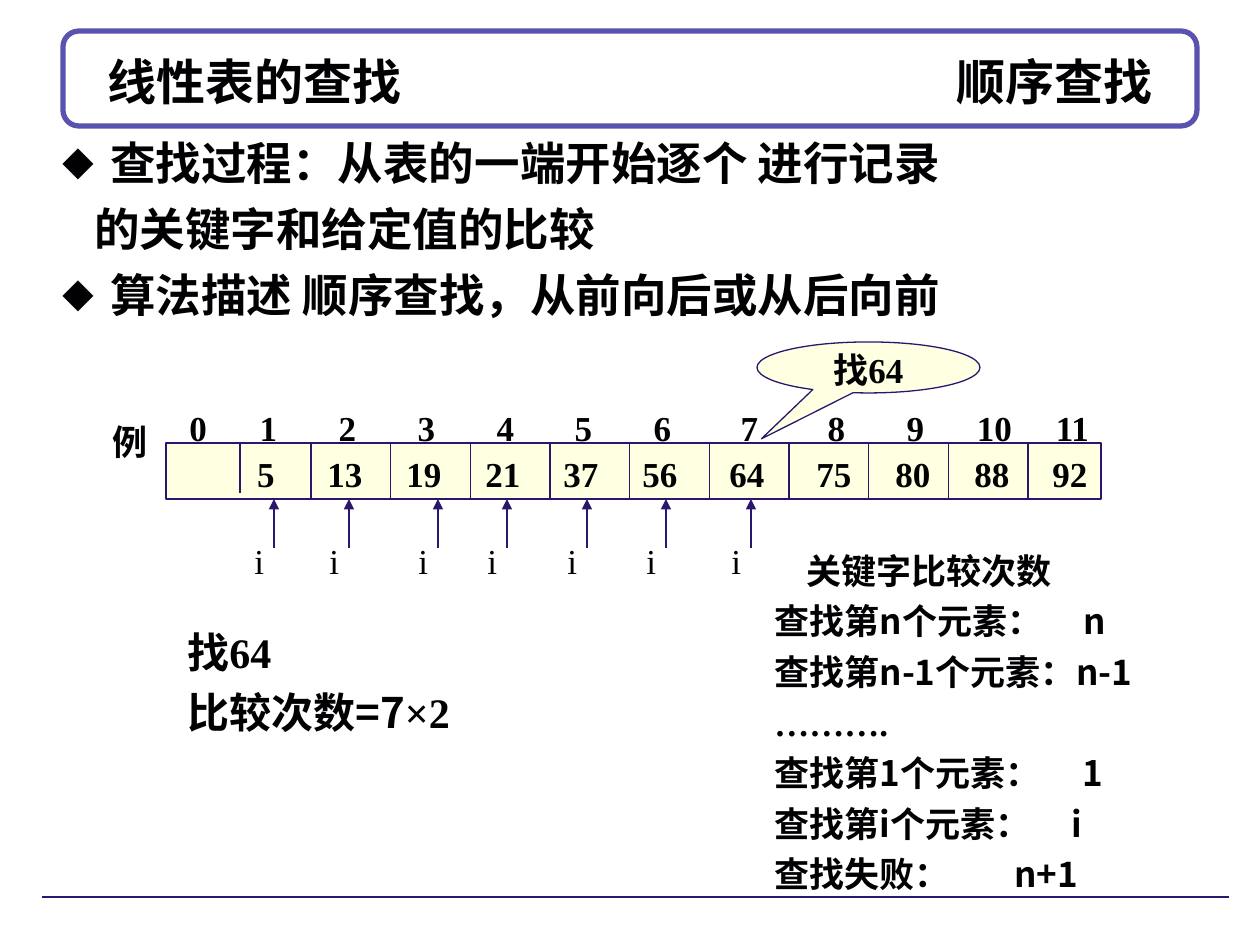
from dataclasses import dataclass

import pptx
import pptx.dml.color
import pptx.enum.shapes
import pptx.enum.text
import pptx.oxml.ns
import pptx.util
from lxml import etree

PX = 914400 / 126
MARGIN = 13
SHAPE = pptx.enum.shapes.MSO_SHAPE
ANCHOR = pptx.enum.text.MSO_ANCHOR
ALIGN = pptx.enum.text.PP_ALIGN


@dataclass(frozen=True)
class Theme:
    """Colours, fonts and type sizes of the slide."""
    ink: str = "010103"
    rule: str = "2B166E"
    frame: str = "5952AE"
    paper: str = "FFFFFF"
    cell: str = "FFFFE1"
    serif: str = "Times New Roman"
    sans: str = "Noto Sans CJK SC"
    title: int = 28
    body: int = 26
    note: int = 24
    small: int = 20


THEME = Theme()


def px(n):
    """Turn pixels into EMU."""
    return pptx.util.Emu(round(n * PX))


def rgb(color):
    """Turn a hex string into a colour."""
    return pptx.dml.color.RGBColor.from_string(color)


def sub(parent, tag, **attrs):
    """Append a DrawingML element with attributes."""
    el = etree.SubElement(parent, pptx.oxml.ns.qn("a:" + tag))
    for key, value in attrs.items():
        el.set(key, str(value))
    return el


def add_tabs(p, stops, align="l"):
    """Give a paragraph tab stops in px from the text edge."""
    tabs = sub(p._p.get_or_add_pPr(), "tabLst")
    for stop in stops:
        sub(tabs, "tab", pos=px(stop), algn=align)


def add_bullet(p, indent):
    """Give a paragraph a small diamond bullet and a hanging indent."""
    pPr = p._p.get_or_add_pPr()
    pPr.set("marL", str(px(indent)))
    pPr.set("indent", str(-px(indent)))
    sub(sub(pPr, "buClr"), "srgbClr", val=THEME.ink)
    sub(pPr, "buSzPct", val=70000)
    sub(pPr, "buFont", typeface=THEME.sans)
    sub(pPr, "buChar", char="◆")


def style_run(r, size, font=THEME.serif, bold=True):
    """Set size, colour and both font scripts of a run."""
    r.font.size = pptx.util.Pt(size)
    r.font.bold = bold
    r.font.name = font
    r.font.color.rgb = rgb(THEME.ink)
    sub(r._r.get_or_add_rPr(), "ea", typeface=THEME.sans)


def set_line(tf, text, size, align=ALIGN.LEFT, bold=True):
    """Write one vertically centred line into a text frame."""
    tf.vertical_anchor = ANCHOR.MIDDLE
    tf.text = text
    p = tf.paragraphs[0]
    p.alignment = align
    for r in p.runs:
        style_run(r, size, bold=bold)
    return p


def add_line(s, x1, y1, x2, y2, arrow=False):
    """Draw a thin straight line, with an arrowhead at its end if wanted."""
    c = s.shapes.add_connector(pptx.enum.shapes.MSO_CONNECTOR.STRAIGHT,
                               px(x1), px(y1), px(x2), px(y2))
    c.line.color.rgb = rgb(THEME.rule)
    c.line.width = pptx.util.Pt(0.75)
    if arrow:
        sub(c.line._get_or_add_ln(), "tailEnd", type="triangle")
    sub(c._element.spPr, "effectLst")


def add_panel(s, kind, x, y, w, h, fill, line, width=0.75):
    """Draw a filled and outlined preset shape."""
    sp = s.shapes.add_shape(kind, px(x), px(y), px(w), px(h))
    sp.shadow.inherit = False
    sp.fill.solid()
    sp.fill.fore_color.rgb = rgb(fill)
    sp.line.color.rgb = rgb(line)
    sp.line.width = pptx.util.Pt(width)
    return sp


def add_box(s, x, y, w, h, wrap=True):
    """Add an empty text box and return its frame."""
    tf = s.shapes.add_textbox(px(x), px(y), px(w), px(h)).text_frame
    tf.word_wrap = wrap
    return tf


def fill_lines(tf, lines, size, height, before):
    """Write evenly pitched lines of (text, font) runs and return the paragraphs."""
    for i, runs in enumerate(lines):
        p = tf.paragraphs[0] if i == 0 else tf.add_paragraph()
        p.line_spacing = pptx.util.Pt(height)
        p.space_before = pptx.util.Pt(before if i else 0)
        for text, font in runs:
            r = p.add_run()
            r.text = text
            style_run(r, size, font)
    return tf.paragraphs


def build_header(s, x, y, w, h):
    """Place the rounded frame and the two-part title."""
    frame = add_panel(s, SHAPE.ROUNDED_RECTANGLE, x, y, w, h, THEME.paper, THEME.frame, 3)
    s.shapes._spTree.insert(2, frame._element)
    title = s.shapes.title
    title.left, title.top, title.width, title.height = px(x), px(y + 10), px(w), px(h - 16)
    tf = title.text_frame
    tf.auto_size = pptx.enum.text.MSO_AUTO_SIZE.NONE
    tf.margin_left, tf.margin_right = px(45), px(MARGIN)
    p = set_line(tf, "线性表的查找\t顺序查找", THEME.title)
    add_tabs(p, [w - 90], "r")


def build_body(s, x, y, w, h):
    """Place the bulleted description of the search."""
    lines = ["查找过程：从表的一端开始逐个 进行记录", "的关键字和给定值的比较",
             "算法描述 顺序查找，从前向后或从后向前"]
    paras = fill_lines(add_box(s, x, y, w, h), [[(t, THEME.serif)] for t in lines],
                       THEME.body, 31.2, 6.5)
    for p in (paras[0], paras[2]):
        add_bullet(p, 48)
    paras[1]._p.get_or_add_pPr().set("marL", str(px(32)))


def build_array(s, x, y, w, h):
    """Place the example array with indices, dividers, callout and pointers."""
    centres = [103, 182, 261, 340, 418, 497, 584, 671, 750, 829, 907]
    values = [5, 13, 19, 21, 37, 56, 64, 75, 80, 88, 92]
    set_line(add_box(s, x - 66, y - 31, 77, 60, False), "例", THEME.small)
    tf = add_box(s, x + 11, y - 45, w, 60)
    p = set_line(tf, "\t".join(map(str, range(12))), THEME.small)
    add_tabs(p, [c - 11 - MARGIN for c in centres], "ctr")

    tf = add_panel(s, SHAPE.RECTANGLE, x, y, w, h, THEME.cell, THEME.rule).text_frame
    tf.margin_left, tf.margin_top, tf.margin_bottom = px(MARGIN), px(5), 0
    p = set_line(tf, "".join(f"\t{v}" for v in values), THEME.small)
    add_tabs(p, [c - 3 - MARGIN for c in centres], "ctr")
    add_line(s, x + 74, y - 1, x + 74, y + h - 6)
    for i in range(10):
        divider = x + 145 + i * 79.67
        add_line(s, divider, y, divider, y + h)

    callout = add_panel(s, SHAPE.OVAL_CALLOUT, x + 591, y - 101, 223, 51,
                        THEME.cell, THEME.rule)
    callout.adjustments[0], callout.adjustments[1] = -0.48, 1.4
    tf = callout.text_frame
    tf.word_wrap = False
    tf.margin_top, tf.margin_bottom = px(4), 0
    set_line(tf, "找64", THEME.small, ALIGN.CENTER)

    for pointer in (108, 183, 272, 341, 421, 500, 585):
        add_line(s, x + pointer, y + h + 49, x + pointer, y + h, arrow=True)
        set_line(add_box(s, x + pointer - 32, y + h + 32, 34, 60, False),
                 "i", THEME.small, bold=False)


def build_count(s, x, y, w, h):
    """Place the comparison count of the example."""
    lines = [[("找", THEME.sans), ("64", THEME.serif)],
             [("比较次数=7", THEME.sans), ("×2", THEME.serif)]]
    fill_lines(add_box(s, x, y, w, h), lines, THEME.note, 31.3, 3)


def build_costs(s, x, y, w, h):
    """Place the list of key comparisons for each case."""
    rows = [("关键字比较次数", 0), ("查找第n个元素：\tn", 309), ("查找第n-1个元素：n-1", 0),
            ("……….", 0), ("查找第1个元素：\t1", 308), ("查找第i个元素：\ti", 297),
            ("查找失败：\tn+1", 240)]
    lines = [[(t, THEME.serif if "…" in t else THEME.sans)] for t, _ in rows]
    paras = fill_lines(add_box(s, x, y, w, h), lines, THEME.small, 26.4, 2.5)
    paras[0]._p.get_or_add_pPr().set("marL", str(px(32)))
    for p, (_, stop) in zip(paras, rows):
        if stop:
            add_tabs(p, [stop])


def main():
    """Build and save the slide."""
    prs = pptx.Presentation()
    prs.slide_width, prs.slide_height = px(1260), px(945)
    s = prs.slides.add_slide(prs.slide_layouts[5])
    build_header(s, 63, 31, 1134, 95)
    add_line(s, 42, 897, 1229, 897)
    build_body(s, 50, 129, 1172, 223)
    build_array(s, 166, 443, 935, 56)
    build_count(s, 175, 616, 338, 128)
    build_costs(s, 762, 539, 414, 370)
    prs.save("out.pptx")


if __name__ == "__main__":
    main()
